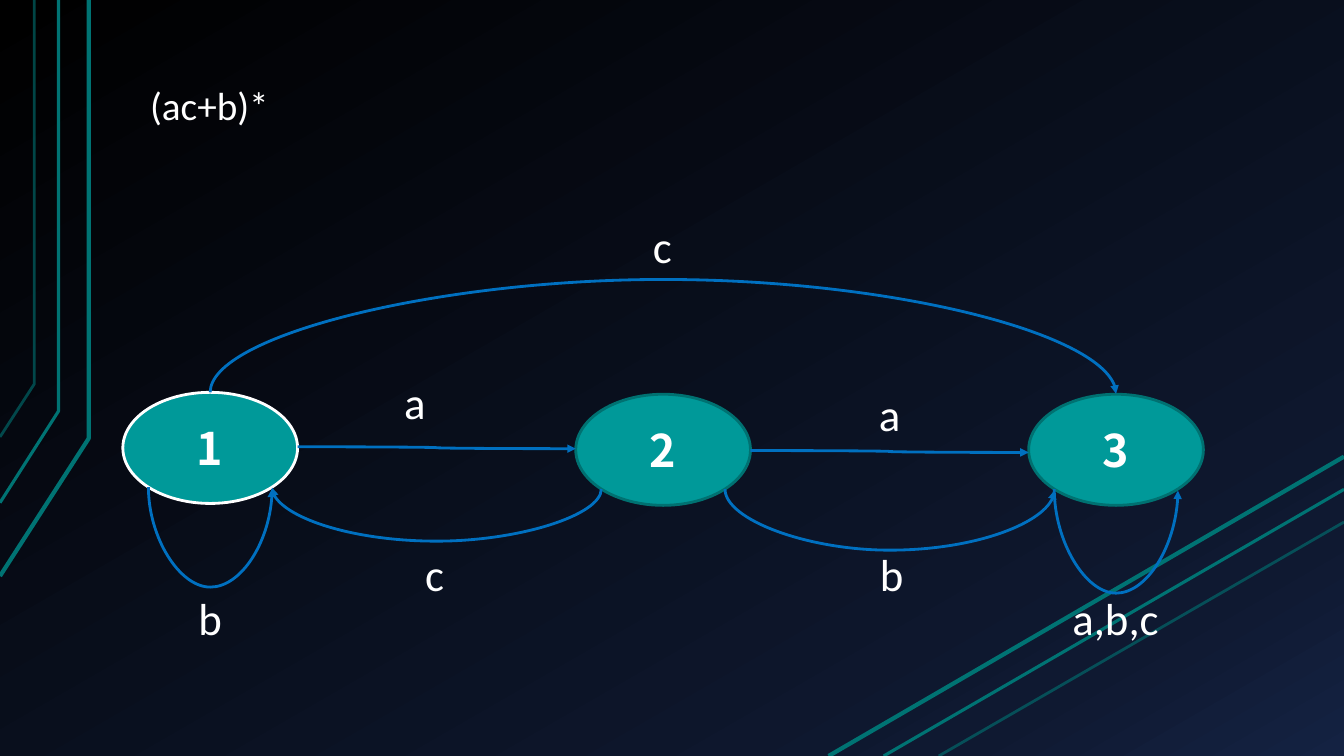
import pptx
import pptx.dml.color
import pptx.enum.shapes
import pptx.enum.text
import pptx.oxml
import pptx.oxml.ns
import pptx.util
from lxml import etree

qn = pptx.oxml.ns.qn


def colour(hex_string):
    return pptx.dml.color.RGBColor.from_string(hex_string)


class Diagram:
    """Draws on one slide; every length is a percentage of its width or height."""

    white, node_fill, node_line = "FFFFFF", "009999", "007171"
    arrow_line, stripe_line = "0070C0", "007373"
    label_font, node_font = "Calibri", "Noto Sans CJK SC"
    node_width, node_height = 13, 14.7

    def __init__(self, deck):
        self.width, self.height = deck.slide_width, deck.slide_height
        self.slide = deck.slides.add_slide(deck.slide_layouts[6])
        self.shapes = self.slide.shapes

    def x(self, percent):
        return round(self.width * percent / 100)

    def y(self, percent):
        return round(self.height * percent / 100)

    def background(self, stops, angle):
        fill = self.slide.background.fill
        fill.gradient()
        fill.gradient_angle = 360 - angle
        stop_list = next(self.slide.element.iter(qn("a:gsLst")))
        for stop in list(stop_list):
            stop_list.remove(stop)
        for position, value in stops:
            stop = etree.SubElement(stop_list, qn("a:gs"), pos=str(position * 1000))
            etree.SubElement(stop, qn("a:srgbClr"), val=value)

    def outline(self, shape, value, points, opacity=100):
        shape.line.color.rgb = colour(value)
        shape.line.width = pptx.util.Pt(points)
        if opacity < 100:
            solid = next(shape.line._get_or_add_ln().iter(qn("a:srgbClr")))
            etree.SubElement(solid, qn("a:alpha"), val=str(opacity * 1000))

    def set_text(self, shape, text, font, size, bold=False):
        para = shape.text_frame.paragraphs[0]
        para.text = text
        para.font.name, para.font.size, para.font.bold = font, pptx.util.Pt(size), bold
        para.font.color.rgb = colour(self.white)
        return para

    def bent_stripe(self, points, weight, opacity):
        corners = [(self.x(x), self.y(y)) for x, y in points]
        builder = self.shapes.build_freeform(*corners[0])
        builder.add_line_segments(corners[1:], close=False)
        stripe = builder.convert_to_shape()
        stripe.shadow.inherit = False
        stripe.fill.background()
        self.outline(stripe, self.stripe_line, weight, opacity)

    def connector(self, kind, ends, value, weight, opacity=100):
        """Add a connector between ends, given in EMU as x, y, x, y."""
        line = self.shapes.add_connector(kind, *ends)
        self.outline(line, value, weight, opacity)
        etree.SubElement(line._element.spPr, qn("a:effectLst"))
        return line

    def straight_stripe(self, start, end, weight, opacity):
        ends = (self.x(start[0]), self.y(start[1]), self.x(end[0]), self.y(end[1]))
        self.connector(pptx.enum.shapes.MSO_CONNECTOR.STRAIGHT, ends,
                       self.stripe_line, weight, opacity)

    def curved_arrow(self, ends):
        arrow = self.connector(pptx.enum.shapes.MSO_CONNECTOR.CURVE, ends, self.arrow_line, 2)
        etree.SubElement(arrow.line._get_or_add_ln(), qn("a:tailEnd"), type="triangle")
        return arrow

    def step(self, start, end):
        self.curved_arrow((self.x(start[0]), self.y(start[1]), self.x(end[0]), self.y(end[1])))

    def arc(self, start_x, end_x, y, level):
        """Curve from start_x to end_x, both near y, by way of the height level."""
        rightward = end_x > start_x
        rise = 0.2 if rightward else -0.2
        centre_x, centre_y = self.x((start_x + end_x) / 2), self.y(y + rise / 2)
        half_width, half_height = self.y(0.1), self.x(abs(end_x - start_x) / 2)
        # The frame is drawn upright and mirrored, then turned a quarter.
        arrow = self.curved_arrow((centre_x + half_width, centre_y - half_height,
                                   centre_x - half_width, centre_y + half_height))
        properties = arrow._element.spPr
        turn = 270 if rightward else 90
        properties.find(qn("a:xfrm")).set("rot", str(turn * 60000))
        bend = round((level - y) / rise * 100000)
        guides = properties.find(qn("a:prstGeom")).find(qn("a:avLst"))
        etree.SubElement(guides, qn("a:gd"), name="adj1", fmla=f"val {bend}")

    def state(self, name, x, y, line):
        oval = self.shapes.add_shape(
            pptx.enum.shapes.MSO_SHAPE.OVAL,
            self.x(x - self.node_width / 2), self.y(y - self.node_height / 2),
            self.x(self.node_width), self.y(self.node_height))
        oval.shadow.inherit = False
        oval.fill.solid()
        oval.fill.fore_color.rgb = colour(self.node_fill)
        self.outline(oval, line, 2)
        oval.text_frame.vertical_anchor = pptx.enum.text.MSO_ANCHOR.MIDDLE
        para = self.set_text(oval, name, self.node_font, 32, bold=True)
        para.alignment = pptx.enum.text.PP_ALIGN.CENTER

    def label(self, text, x, y, width, height=8.53, size=32):
        box = self.shapes.add_textbox(self.x(x), self.y(y), self.x(width), self.y(height))
        box.text_frame.word_wrap = False
        box.text_frame.auto_size = pptx.enum.text.MSO_AUTO_SIZE.SHAPE_TO_FIT_TEXT
        self.set_text(box, text, self.label_font, size)


def main():
    deck = pptx.Presentation()
    deck.slide_width, deck.slide_height = pptx.util.Inches(13.33), pptx.util.Inches(7.5)
    diagram = Diagram(deck)
    diagram.background([(0, "000000"), (85, "0F1931"), (100, "142242")], angle=60)

    stripe_styles = [(3, 100), (2.25, 100), (2, 60)]
    left_stripes = [(6.6, 76.2), (4.35, 66.5), (2.55, 57.8)]
    for index, (style, (x, foot)) in enumerate(zip(stripe_styles, left_stripes)):
        diagram.bent_stripe([(0, foot), (x, 58 - 3.6 * index), (x, 0)], *style)
        diagram.straight_stripe((61.65 + 4.1 * index, 100), (100, 60.4 + 4.33 * index), *style)

    first, second, third = [15.64 + 33.7 * index for index in range(3)]
    first_y, other_y = 59.25, 59.5
    diagram.state("1", first, first_y, diagram.white)
    diagram.state("2", second, other_y, diagram.node_line)
    diagram.state("3", third, other_y, diagram.node_line)

    side, top = diagram.node_width / 2, diagram.node_height / 2
    corner_x, corner_y = 4.6, 5.2
    diagram.step((first + side, 59.1), (second - side, 59.35))
    diagram.step((second + side, 59.6), (third - side, 59.85))
    diagram.arc(first, third, first_y - top, 36.93)
    diagram.arc(first - corner_x, first + corner_x, first_y + corner_y, 77.7)
    diagram.arc(second - corner_x, first + corner_x, other_y + corner_y, 71.6)
    diagram.arc(second + corner_x, third - corner_x, other_y + corner_y, 72.8)
    diagram.arc(third - corner_x, third + corner_x, other_y + corner_y, 78.5)

    diagram.label("(ac+b)*", 10.43, 10.13, 10.43, height=7.6, size=28)
    for text, x, y, width in [
        ("c", 47.85, 28.27, 2.93),
        ("a", 29.33, 48.93, 3.15),
        ("a", 64.65, 50.53, 3.15),
        ("c", 30.9, 71.6, 2.93),
        ("b", 64.73, 71.6, 3.3),
        ("b", 14.03, 77.47, 3.3),
        ("a,b,c", 79.05, 77.47, 8.03),
    ]:
        diagram.label(text, x, y, width)

    deck.save("out.pptx")


if __name__ == "__main__":
    main()
